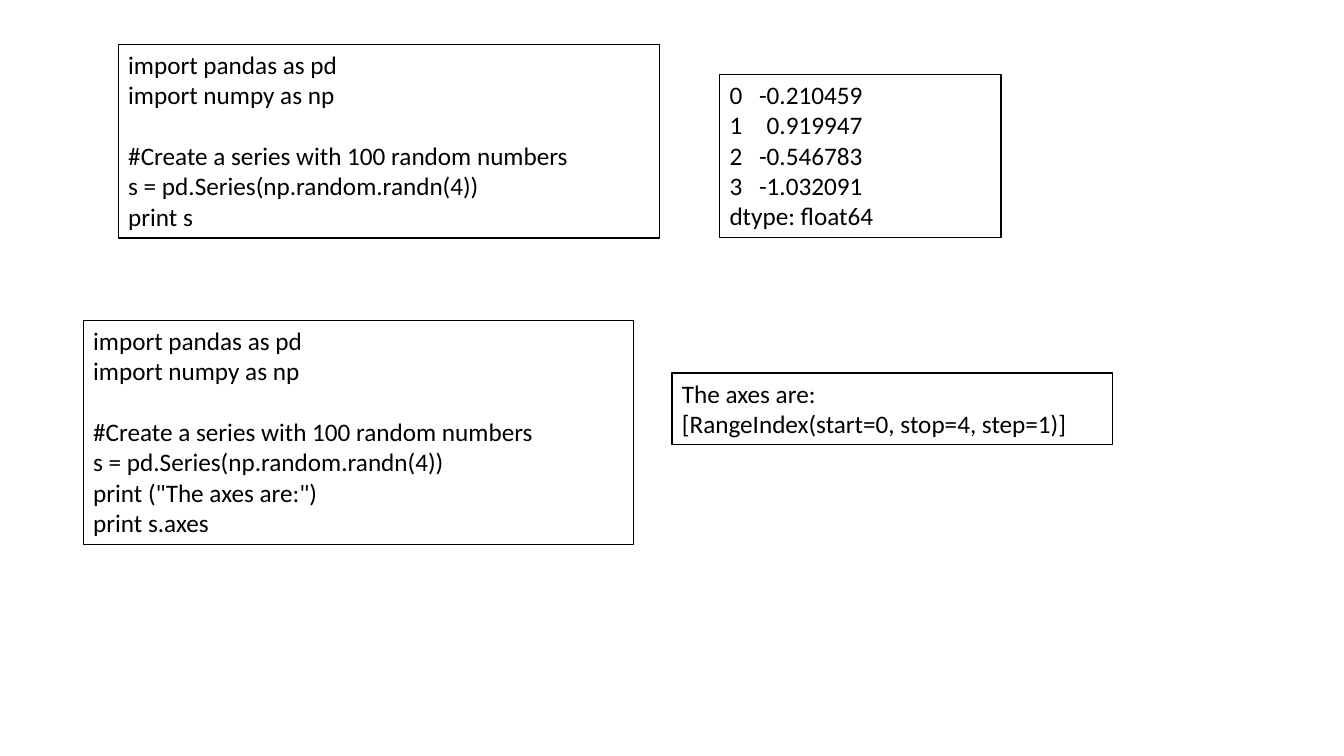
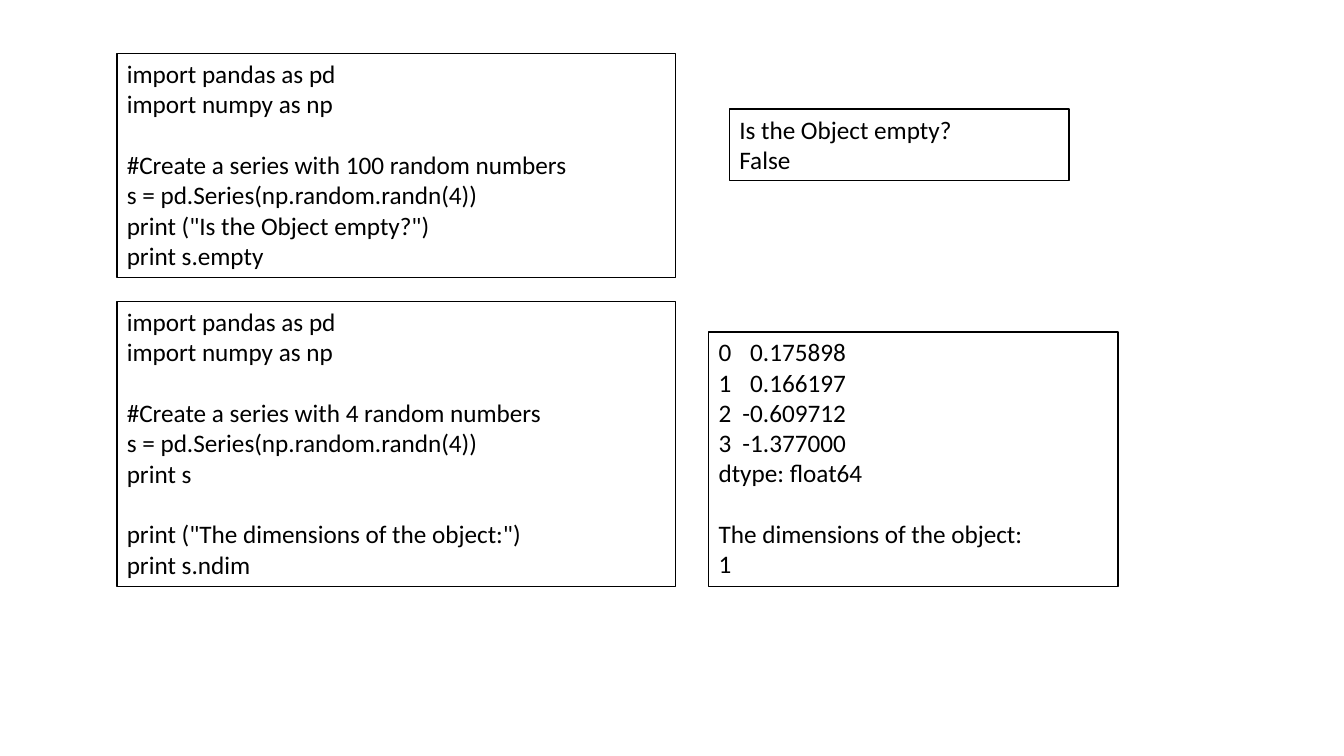
from dataclasses import dataclass

from lxml.etree import SubElement
from pptx import Presentation
from pptx.dml.color import RGBColor
from pptx.enum.text import MSO_AUTO_SIZE as AutoSize
from pptx.oxml.ns import qn
from pptx.slide import Slide
from pptx.util import Pt

BLACK = RGBColor(0x00, 0x00, 0x00)
WHITE = RGBColor(0xFF, 0xFF, 0xFF)
FONT_NAME = "Calibri"
FONT_SIZE = Pt(18)
LINE_HEIGHT = 21.8
BOX_PADDING = 7.5
BLANK_LAYOUT = 6

IMPORTS = "import pandas as pd\nimport numpy as np\n\n"
SERIES = "s = pd.Series(np.random.randn(4))\n"
HUNDRED_NUMBERS = IMPORTS + "#Create a series with 100 random numbers\n" + SERIES
FOUR_NUMBERS = IMPORTS + "#Create a series with 4 random numbers\n" + SERIES


@dataclass(frozen=True)
class ListingBox:
    left: float
    top: float
    width: float
    text: str
    value_tab: float = 0


SLIDES = [
    [
        ListingBox(84.5, 31.7, 386.5, HUNDRED_NUMBERS + "print s"),
        ListingBox(
            514, 53.3, 201,
            "0\t-0.210459\n1\t0.919947\n2\t-0.546783\n3\t-1.032091\ndtype: float64",
            value_tab=95,
        ),
        ListingBox(
            59.5, 229, 393,
            HUNDRED_NUMBERS + 'print ("The axes are:")\nprint s.axes',
        ),
        ListingBox(
            480, 266.4, 314.5,
            "The axes are:\n[RangeIndex(start=0, stop=4, step=1)]",
        ),
    ],
    [
        ListingBox(
            83.5, 38.2, 399,
            HUNDRED_NUMBERS + 'print ("Is the Object empty?")\nprint s.empty',
        ),
        ListingBox(521, 77.8, 242.5, "Is the Object empty?\nFalse"),
        ListingBox(
            83.5, 215.3, 399,
            FOUR_NUMBERS
            + 'print s\n\nprint ("The dimensions of the object:")\nprint s.ndim',
        ),
        ListingBox(
            506.2, 237, 292.5,
            "0\t0.175898\n1\t0.166197\n2\t-0.609712\n3\t-1.377000\ndtype: float64"
            "\n\nThe dimensions of the object:\n1",
            value_tab=91,
        ),
    ],
]


def draw_listing(slide: Slide, box: ListingBox) -> None:
    lines = box.text.split("\n")
    height = len(lines) * LINE_HEIGHT + BOX_PADDING
    shape = slide.shapes.add_textbox(
        Pt(box.left), Pt(box.top), Pt(box.width), Pt(height)
    )
    shape.fill.solid()
    shape.fill.fore_color.rgb = WHITE
    shape.line.color.rgb = BLACK
    shape.line.width = Pt(1)

    text_frame = shape.text_frame
    text_frame.word_wrap = True
    text_frame.auto_size = AutoSize.SHAPE_TO_FIT_TEXT
    text_frame.text = "\n".join(line for line in lines if line)
    after_gap = [not before for before, line in zip(["first"] + lines, lines) if line]
    for paragraph, has_gap in zip(text_frame.paragraphs, after_gap):
        if has_gap:
            paragraph.space_before = Pt(LINE_HEIGHT)
        if "\t" in paragraph.text:
            properties = paragraph._p.get_or_add_pPr()
            tab_list = SubElement(properties, qn("a:tabLst"))
            SubElement(tab_list, qn("a:tab"), pos=str(Pt(box.value_tab)), algn="r")
        for run in paragraph.runs:
            run.font.name = FONT_NAME
            run.font.size = FONT_SIZE
            run.font.color.rgb = BLACK


def main() -> None:
    presentation = Presentation()
    presentation.slide_width = Pt(960)
    presentation.slide_height = Pt(540)
    for boxes in SLIDES:
        slide = presentation.slides.add_slide(presentation.slide_layouts[BLANK_LAYOUT])
        for box in boxes:
            draw_listing(slide, box)
    presentation.save("out.pptx")


if __name__ == "__main__":
    main()
